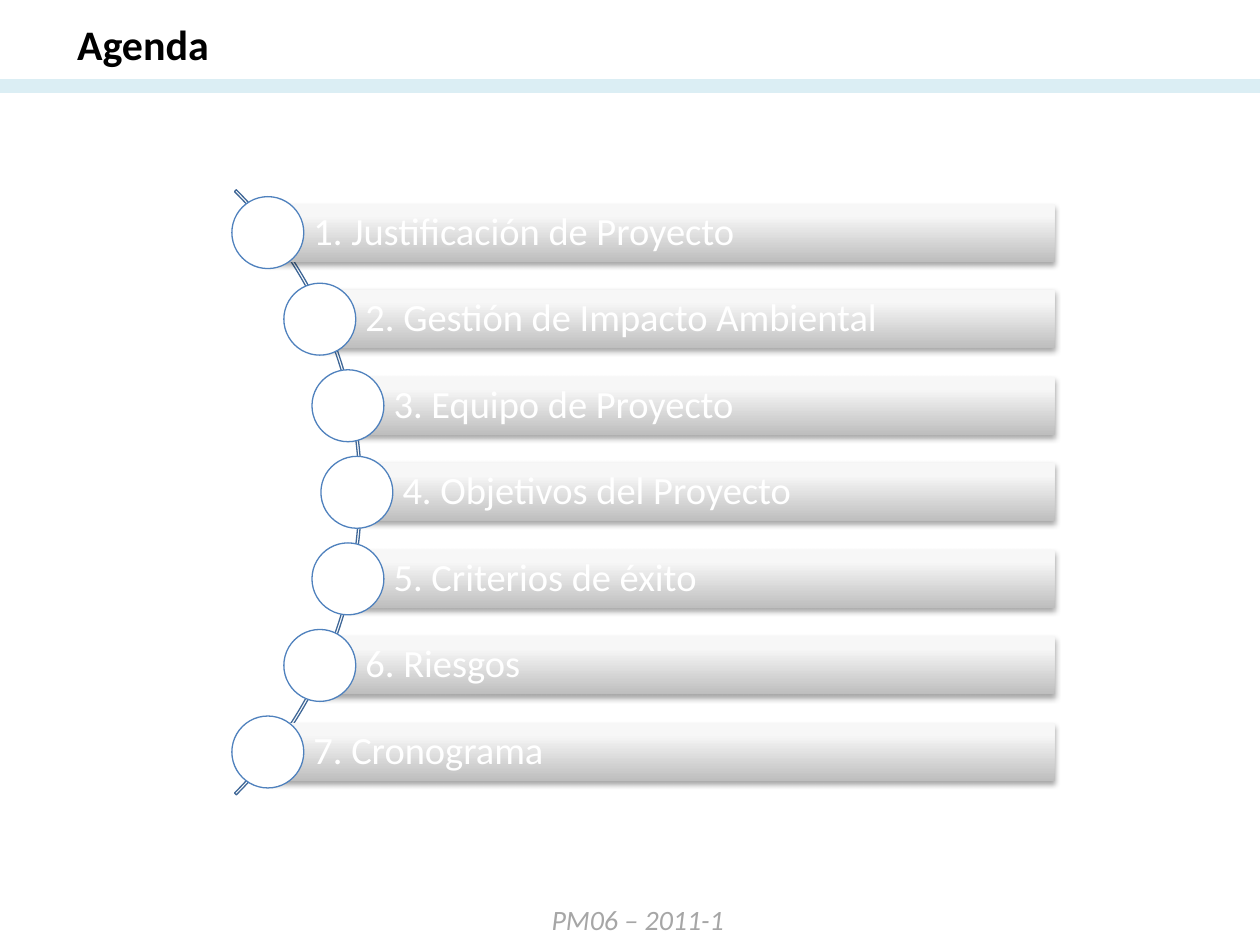
from math import sqrt

from lxml import etree
from pptx import Presentation
from pptx.dml.color import RGBColor
from pptx.enum.shapes import MSO_CONNECTOR, MSO_SHAPE as Shape
from pptx.enum.text import MSO_ANCHOR as Anchor, MSO_AUTO_SIZE as AutoSize, PP_ALIGN as Align
from pptx.oxml import parse_xml
from pptx.oxml.ns import qn
from pptx.util import Cm, Pt

NAMESPACE = 'xmlns:a="http://schemas.openxmlformats.org/drawingml/2006/main"'
TOPICS = [
    "1. Justificación de Proyecto",
    "2. Gestión de Impacto Ambiental",
    "3. Equipo de Proyecto",
    "4. Objetivos del Proyecto",
    "5. Criterios de éxito",
    "6. Riesgos",
    "7. Cronograma",
]


def color(value):
    return RGBColor.from_string(value)


def write(shape, text, size, value, bold=False, italic=False, align=Align.LEFT):
    shape.text_frame.text = text
    para = shape.text_frame.paragraphs[0]
    para.alignment = align
    font = para.runs[0].font
    font.name, font.size = "Calibri", Pt(size)
    font.bold, font.italic = bold, italic
    font.color.rgb = color(value)
    return para


def set_line(shape, value, width):
    shape.line.color.rgb = color(value)
    shape.line.width = Pt(width)


def style_bar(bar):
    """Grey vertical gradient with a soft shadow below."""
    stops = [(0, "BEBEBE"), (80, "F7F7F7"), (100, "F8F8F8")]
    stop_xml = "".join(
        f'<a:gs pos="{pos * 1000}"><a:srgbClr val="{value}"/></a:gs>' for pos, value in stops)
    gradient = parse_xml(
        f'<a:gradFill {NAMESPACE} rotWithShape="1"><a:gsLst>{stop_xml}</a:gsLst>'
        '<a:lin ang="16200000" scaled="0"/></a:gradFill>')
    shadow = parse_xml(
        f'<a:effectLst {NAMESPACE}><a:outerShdw blurRad="40000" dist="23000" dir="5400000" '
        'rotWithShape="0"><a:srgbClr val="000000"><a:alpha val="35000"/></a:srgbClr>'
        '</a:outerShdw></a:effectLst>')
    bar.line.fill.background()
    properties = bar.element.spPr
    properties.find(qn("a:prstGeom")).addnext(gradient)
    properties.append(shadow)


def add_header(page, left, top, width, height):
    # Title
    title = page.shapes.title
    title.left, title.top, title.width, title.height = left, top, width, height
    title.text_frame.auto_size = AutoSize.SHAPE_TO_FIT_TEXT
    title.text_frame.vertical_anchor = Anchor.TOP
    write(title, "Agenda", 24, "000000", bold=True)
    # Rule across the page
    y = top + Cm(1.48)
    rule = page.shapes.add_connector(MSO_CONNECTOR.STRAIGHT, 0, y, Cm(25.4), y)
    set_line(rule, "DBEEF4", 8)
    etree.SubElement(rule.element.spPr, qn("a:effectLst"))


def add_footer(page, left, top, width, height):
    box = page.shapes.add_textbox(left, top, width, height)
    box.text_frame.word_wrap = False
    box.text_frame.auto_size = AutoSize.SHAPE_TO_FIT_TEXT
    write(box, "PM06 – 2011-1", 16, "A6A6A6", italic=True)


def add_topic(group, text, center_x, center_y, right):
    # Bar with its label
    height = Cm(1.17)
    bar = group.shapes.add_shape(
        Shape.RECTANGLE, center_x, center_y - height // 2, right - center_x, height)
    style_bar(bar)
    frame = bar.text_frame
    frame.word_wrap = True
    frame.vertical_anchor = Anchor.MIDDLE
    frame.margin_left = Cm(0.92)
    frame.margin_top = frame.margin_right = frame.margin_bottom = Cm(0.15)
    write(bar, text, 22, "FFFFFF").line_spacing = 0.9
    # Circle over the bar's left end
    size = Cm(1.45)
    circle = group.shapes.add_shape(
        Shape.OVAL, center_x - size // 2, center_y - size // 2, size, size)
    circle.shadow.inherit = False
    circle.fill.solid()
    circle.fill.fore_color.rgb = color("FFFFFF")
    set_line(circle, "4F81BD", 0.75)


def add_agenda(page, left, top, size, right):
    """Topics whose circles sit on an arc inscribed in a square box."""
    group = page.shapes.add_group_shape()
    arc = group.shapes.add_shape(Shape.BLOCK_ARC, left, top, size, size)
    arc.adjustments[0], arc.adjustments[1], arc.adjustments[2] = 189, 27, 0.003
    arc.shadow.inherit = False
    arc.fill.background()
    set_line(arc, "3F6797", 0.75)

    middle_x, middle_y = left + size // 2, top + size // 2
    radius, pitch = Cm(8.53), Cm(1.745)
    for index, text in enumerate(TOPICS):
        offset = (index - (len(TOPICS) - 1) / 2) * pitch
        center_x = middle_x + int(sqrt(radius ** 2 - offset ** 2))
        add_topic(group, text, center_x, middle_y + int(offset), right)


def main():
    deck = Presentation()
    deck.slide_width, deck.slide_height = Cm(25.4), Cm(19.05)
    page = deck.slides.add_slide(deck.slide_layouts[5])
    add_header(page, Cm(1.3), Cm(0.25), Cm(12.8), Cm(1.27))
    add_footer(page, Cm(10.87), Cm(18.06), Cm(4.04), Cm(0.94))
    add_agenda(page, Cm(-9.96), Cm(1.3), Cm(17.25), Cm(21.26))
    deck.save("out.pptx")


if __name__ == "__main__":
    main()
